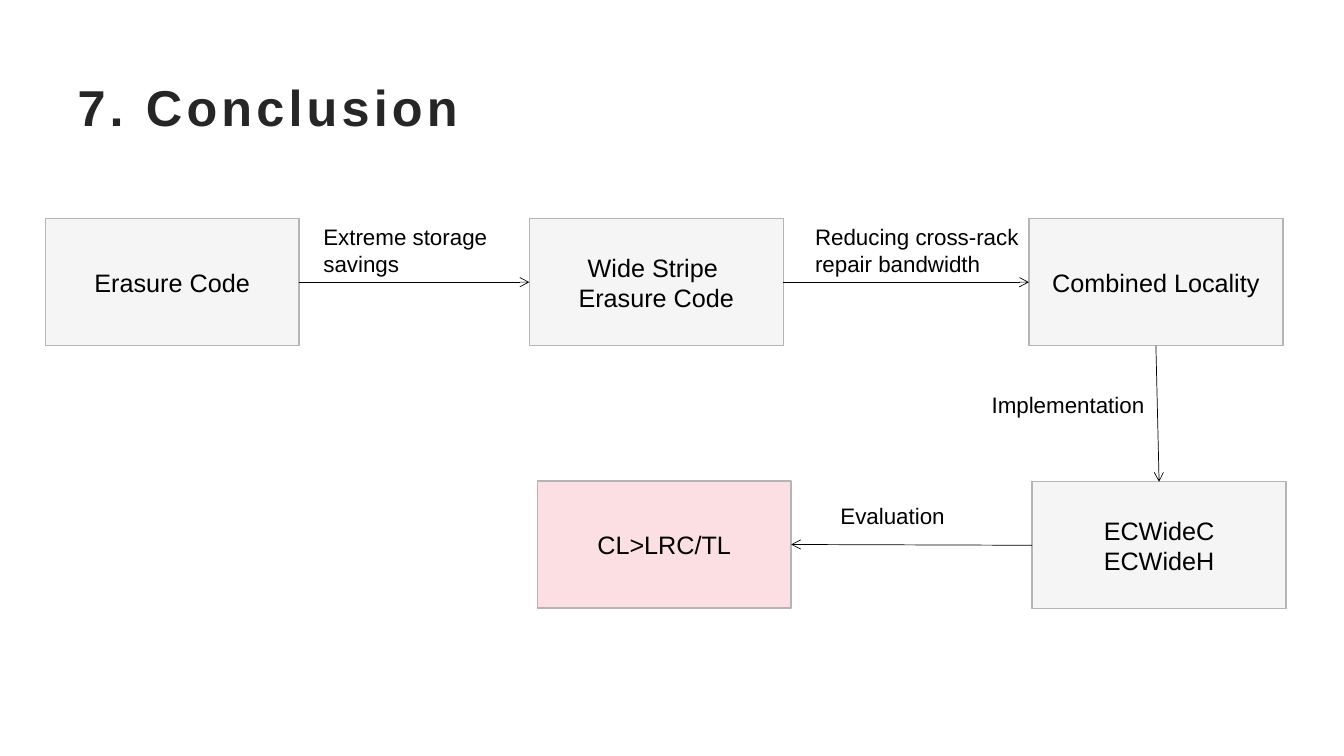
from dataclasses import dataclass
from typing import NamedTuple

from lxml.etree import SubElement
from pptx import Presentation
from pptx.dml.color import RGBColor
from pptx.enum.shapes import MSO_CONNECTOR as Connector, MSO_SHAPE as Preset
from pptx.enum.text import MSO_ANCHOR as Anchor, MSO_AUTO_SIZE as AutoSize, PP_ALIGN as Align
from pptx.oxml.ns import qn
from pptx.util import Cm, Pt


@dataclass(frozen=True)
class Theme:
    """Colours, font and type sizes of the deck."""
    font: str = "Arial"
    title: RGBColor = RGBColor(0x26, 0x26, 0x26)
    ink: RGBColor = RGBColor(0, 0, 0)
    step: RGBColor = RGBColor(0xF5, 0xF5, 0xF5)
    result: RGBColor = RGBColor(0xFB, 0xDF, 0xE3)
    border: RGBColor = RGBColor(0xB5, 0xB5, 0xB5)
    title_size: Pt = Pt(36)
    step_size: Pt = Pt(18)
    label_size: Pt = Pt(16)
    title_spacing: int = 300


class Box(NamedTuple):
    """A rectangle in centimetres."""
    left: float
    top: float
    width: float
    height: float

    def lengths(self):
        """Return the four sides as lengths."""
        return [Cm(side) for side in self]

    def inner(self, left, top, width, height):
        """Return a box offset from this one's corner."""
        return Box(self.left + left, self.top + top, width, height)


THEME = Theme()
STEP_WIDTH, STEP_HEIGHT = 6.4, 3.2
TOP, LEFT, BOTTOM, RIGHT = range(4)


def write(frame, lines, size, align, color=THEME.ink):
    """Fill a text frame with one styled paragraph per line."""
    frame.word_wrap = True
    frame.text = "\n".join(lines)
    for para in frame.paragraphs:
        para.alignment = align
        para.font.name = THEME.font
        para.font.size = size
        para.font.color.rgb = color


def add_title(page, box, text):
    """Place and format the title placeholder."""
    title = page.shapes.title
    title.left, title.top, title.width, title.height = box.lengths()
    frame = title.text_frame
    write(frame, [text], THEME.title_size, Align.LEFT, THEME.title)
    frame.auto_size = AutoSize.NONE
    frame.vertical_anchor = Anchor.MIDDLE
    span = frame.paragraphs[0].runs[0]
    span.font.bold = True
    span.font._element.set("spc", str(THEME.title_spacing))


def add_step(page, box, lines, fill=THEME.step):
    """Draw one bordered step of the flow."""
    step = page.shapes.add_shape(Preset.RECTANGLE, *box.lengths())
    step.shadow.inherit = False
    step.fill.solid()
    step.fill.fore_color.rgb = fill
    step.line.color.rgb = THEME.border
    step.line.width = Pt(1)
    step.text_frame.vertical_anchor = Anchor.MIDDLE
    write(step.text_frame, lines, THEME.step_size, Align.CENTER)
    return step


def add_label(page, box, text):
    """Write the caption of an arrow."""
    frame = page.shapes.add_textbox(*box.lengths()).text_frame
    write(frame, [text], THEME.label_size, Align.LEFT)
    frame.auto_size = AutoSize.SHAPE_TO_FIT_TEXT


def add_arrow(page, source, source_side, target, target_side):
    """Connect two steps with an open arrowhead at the target."""
    arrow = page.shapes.add_connector(Connector.STRAIGHT, 0, 0, 0, 0)
    arrow.begin_connect(source, source_side)
    arrow.end_connect(target, target_side)
    arrow.line.color.rgb = THEME.ink
    arrow.line.width = Pt(0.5)
    SubElement(arrow.line._get_or_add_ln(), qn("a:tailEnd"), type="arrow")
    SubElement(arrow._element.spPr, qn("a:effectLst"))


def add_flow(page, box):
    """Draw the steps, arrows and captions of the conclusion."""
    def step(left, top, lines, fill=THEME.step):
        return add_step(page, box.inner(left, top, STEP_WIDTH, STEP_HEIGHT), lines, fill)

    erasure = step(0, 0, ["Erasure Code"])
    wide = step(12.2, 0, ["Wide Stripe ", "Erasure Code"])
    locality = step(24.79, 0, ["Combined Locality"])
    systems = step(24.87, 6.63, ["ECWideC", "ECWideH"])
    result = step(12.4, 6.61, ["CL>LRC/TL"], THEME.result)

    add_arrow(page, erasure, RIGHT, wide, LEFT)
    add_arrow(page, wide, RIGHT, locality, LEFT)
    add_arrow(page, locality, BOTTOM, systems, TOP)
    add_arrow(page, systems, LEFT, result, RIGHT)

    add_label(page, box.inner(6.76, 0, 5.28, 1.63), "Extreme storage savings")
    add_label(page, box.inner(19.15, 0, 6.32, 1.63), "Reducing cross-rack repair bandwidth")
    add_label(page, box.inner(23.6, 4.22, 6.5, 0.94), "Implementation")
    add_label(page, box.inner(19.79, 7.01, 6.5, 0.94), "Evaluation")


def main():
    """Build and save the one-slide deck."""
    deck = Presentation()
    deck.slide_width, deck.slide_height = Cm(33.87), Cm(19.05)
    page = deck.slides.add_slide(deck.slide_layouts.get_by_name("Title Only"))
    add_title(page, Box(1.7, 1.7, 30.48, 1.96), "7. Conclusion")
    add_flow(page, Box(1.14, 5.51, 31.27, 9.83))
    deck.save("out.pptx")


if __name__ == "__main__":
    main()
